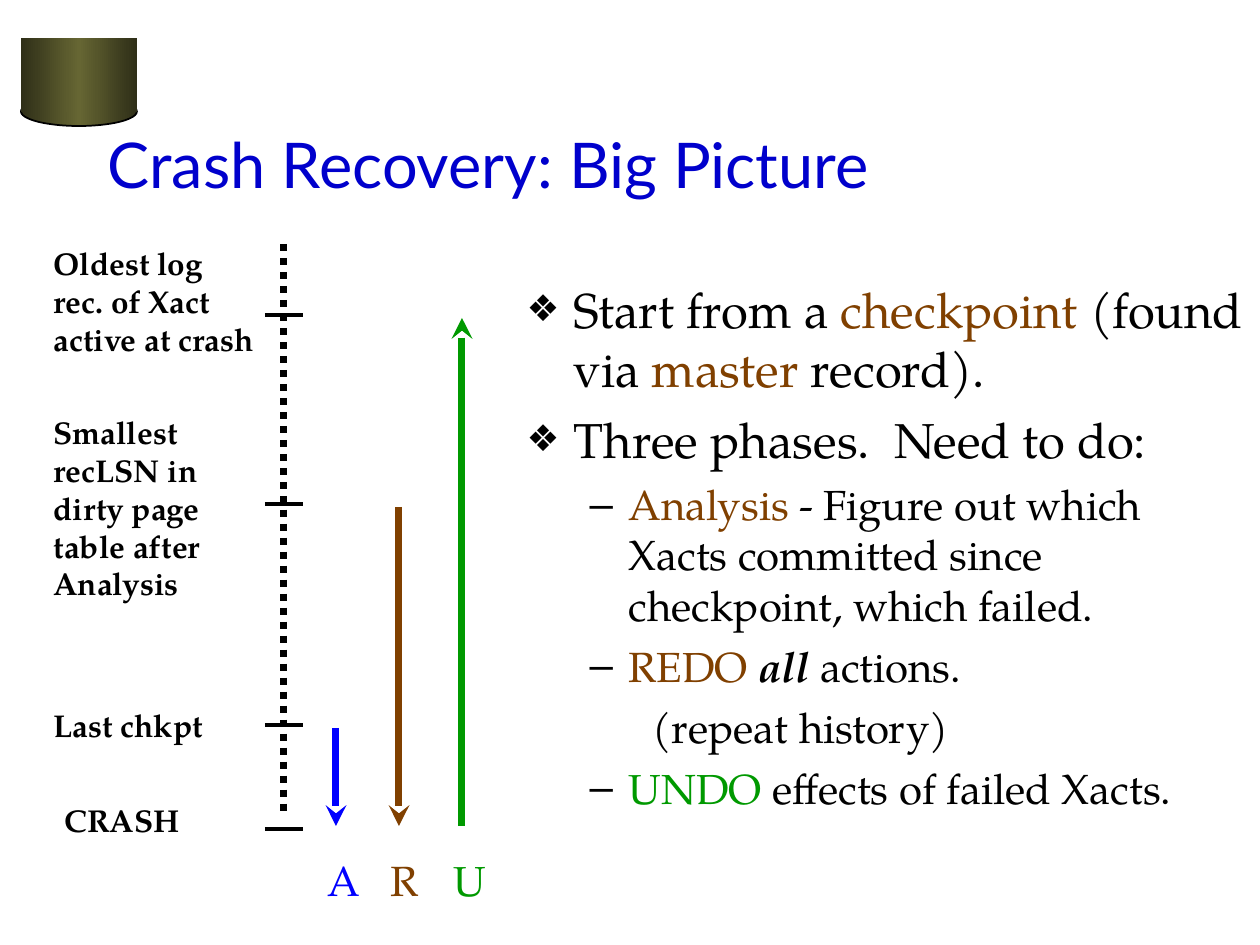
import copy
import dataclasses

import pptx
import pptx.dml.color
import pptx.enum.dml
import pptx.enum.shapes
import pptx.enum.text
import pptx.oxml.ns
import pptx.util

EMU_PER_PX = 914400 / 126
SHAPES = pptx.enum.shapes.MSO_SHAPE
AUTO_SIZE = pptx.enum.text.MSO_AUTO_SIZE
qn = pptx.oxml.ns.qn


@dataclasses.dataclass(frozen=True)
class Theme:
    ink: str = "000000"
    title: str = "0000CC"
    analysis: str = "0000FF"
    redo: str = "804000"
    undo: str = "009900"
    barrel_edge: str = "2F2F18"
    barrel_middle: str = "666633"
    title_font: str = "Lato"
    text_font: str = "TeX Gyre Pagella"
    title_size: int = 36
    point_size: int = 28
    phase_size: int = 24
    label_size: int = 18


@dataclasses.dataclass(frozen=True)
class Level:
    """Paragraph format of one outline level; distances in px."""
    depth: int
    size: int
    margin: int
    indent: int
    space_before: int
    bullet: str = ""
    bullet_percent: int = 100


def px(length):
    return pptx.util.Emu(round(length * EMU_PER_PX))


def rgb(color):
    return pptx.dml.color.RGBColor.from_string(color)


def apply(target, values):
    for name, value in values.items():
        setattr(target, name, value)


class SlideBuilder:
    def __init__(self, slide, theme):
        self.slide = slide
        self.theme = theme

    def place(self, shape, left, top, width, height):
        apply(shape, {"left": px(left), "top": px(top),
                      "width": px(width), "height": px(height)})

    def styled_run(self, paragraph, text, size, color=None, font=None, **styles):
        run = paragraph.add_run()
        run.text = text
        apply(run.font, {"size": pptx.util.Pt(size),
                         "name": font or self.theme.text_font, **styles})
        run.font.color.rgb = rgb(color or self.theme.ink)

    def title(self, text, *box):
        heading = self.slide.shapes.title
        self.place(heading, *box)
        apply(heading.text_frame, {
            "vertical_anchor": pptx.enum.text.MSO_ANCHOR.MIDDLE,
            "auto_size": AUTO_SIZE.NONE})
        paragraph = heading.text_frame.paragraphs[0]
        paragraph.alignment = pptx.enum.text.PP_ALIGN.LEFT
        self.styled_run(paragraph, text, self.theme.title_size,
                        self.theme.title, self.theme.title_font)

    def bullet(self, paragraph, level):
        properties = paragraph._p.get_or_add_pPr()
        properties.set("marL", str(px(level.margin)))
        properties.set("indent", str(px(level.indent)))

        def add(parent, tag, **attributes):
            child = parent.makeelement(qn(tag), attributes)
            parent.append(child)
            return child

        if level.bullet:
            add(add(properties, "a:buClr"), "a:srgbClr", val=self.theme.ink)
            add(properties, "a:buSzPct", val=str(level.bullet_percent * 1000))
            add(properties, "a:buChar", char=level.bullet)
        else:
            add(properties, "a:buNone")

    def outline(self, points, *box):
        body = self.slide.placeholders[1]
        self.place(body, *box)
        frame = body.text_frame
        frame.auto_size = AUTO_SIZE.NONE
        for index, (level, runs) in enumerate(points):
            paragraph = frame.add_paragraph() if index else frame.paragraphs[0]
            self.bullet(paragraph, level)
            apply(paragraph, {
                "level": level.depth,
                "space_before": pptx.util.Pt(level.space_before if index else 0)})
            for text, styles in runs:
                self.styled_run(paragraph, text, level.size, **styles)

    def label(self, text, size, *box, wrap=True, **styles):
        caption = self.slide.shapes.add_textbox(*map(px, box))
        apply(caption.text_frame, {"word_wrap": wrap,
                                   "auto_size": AUTO_SIZE.SHAPE_TO_FIT_TEXT})
        self.styled_run(caption.text_frame.paragraphs[0], text, size, **styles)

    def line(self, start, end, width, color=None, dash=None, arrow_end=None):
        """Draw a line; arrow_end is a:headEnd (start), a:tailEnd (end) or None."""
        connector = self.slide.shapes.add_connector(
            pptx.enum.shapes.MSO_CONNECTOR.STRAIGHT, *map(px, (*start, *end)))
        connector.line.color.rgb = rgb(color or self.theme.ink)
        apply(connector.line, {"width": pptx.util.Pt(width), "dash_style": dash})
        properties = connector._element.spPr
        if arrow_end:
            stroke = properties.find(qn("a:ln"))
            stroke.append(stroke.makeelement(qn(arrow_end), {"type": "stealth"}))
        properties.append(properties.makeelement(qn("a:effectLst"), {}))

    def barrel_part(self, group, preset, *box, outlined=False):
        part = group.shapes.add_shape(preset, *map(px, box))
        part.shadow.inherit = False
        part.fill.gradient()
        part.fill.gradient_angle = 0
        stops = part._element.spPr.find(".//" + qn("a:gsLst"))
        stops.append(copy.deepcopy(stops[0]))
        edge, middle = self.theme.barrel_edge, self.theme.barrel_middle
        for stop, position, color in zip(part.fill.gradient_stops,
                                         (0, 0.5, 1), (edge, middle, edge)):
            stop.position = position
            stop.color.rgb = rgb(color)
        if outlined:
            part.line.color.rgb = rgb(self.theme.ink)
            part.line.width = pptx.util.Pt(1)
        else:
            part.line.fill.background()

    def barrel(self, left, top, width):
        group = self.slide.shapes.add_group_shape()
        self.barrel_part(group, SHAPES.OVAL, left, top + 59, width, 29,
                         outlined=True)
        self.barrel_part(group, SHAPES.RECTANGLE, left, top, width, 74)


def main():
    deck = pptx.Presentation()
    apply(deck, {"slide_width": px(1260), "slide_height": px(945)})
    theme = Theme()
    builder = SlideBuilder(deck.slides.add_slide(deck.slide_layouts[1]), theme)

    builder.barrel(21, 38, 116)
    builder.title("Crash Recovery: Big Picture", 95, 84, 1071, 158)

    point = Level(0, theme.point_size, 47, -47, 7, "❖", 75)
    phase = Level(1, theme.phase_size, 102, -39, 6, "–")
    remark = Level(2, theme.phase_size, 158, -32, 6)
    plain, key, undo = {}, {"color": theme.redo}, {"color": theme.undo}
    builder.outline([
        (point, [("Start from a ", plain), ("checkpoint", key),
                 (" (found via ", plain), ("master", key), (" record).", plain)]),
        (point, [("Three phases.  Need to do:", plain)]),
        (phase, [("Analysis", key),
                 (" - Figure out which Xacts committed since checkpoint, "
                  "which failed.", plain)]),
        (phase, [("REDO ", key), ("all", {"bold": True, "italic": True}),
                 (" actions.", plain)]),
        (remark, [("(repeat history)", plain)]),
        (phase, [("UNDO", undo), (" effects of failed Xacts.", plain)]),
    ], 514, 273, 746, 562)

    log_x, tick_half = 284, 19
    builder.line((log_x, 244), (log_x, 815), 4,
                 dash=pptx.enum.dml.MSO_LINE.ROUND_DOT)
    oldest, smallest, checkpoint, crash = 315, 504, 725, 829
    for tick_y, text, left, top, height in (
            (oldest, "Oldest log rec. of Xact active at crash", 41, 238, 202),
            (smallest, "Smallest recLSN in dirty page table after Analysis",
             41, 407, 239),
            (checkpoint, "Last chkpt", 41, 700, 50),
            (crash, "CRASH", 52, 795, 50)):
        builder.label(text, theme.label_size, left, top, 232, height, bold=True)
        builder.line((log_x - tick_half, tick_y), (log_x + tick_half, tick_y), 2)

    gap = 3
    for index, (letter, color, since, arrow_end) in enumerate((
            ("A", theme.analysis, checkpoint, "a:tailEnd"),
            ("R", theme.redo, smallest, "a:tailEnd"),
            ("U", theme.undo, oldest, "a:headEnd"))):
        arrow_x = 336 + 63 * index
        builder.line((arrow_x, since + gap), (arrow_x, crash - gap), 4, color,
                     arrow_end=arrow_end)
        builder.label(letter, theme.phase_size, arrow_x - 21, 848, 50, 63,
                      wrap=False, color=color)

    deck.save("out.pptx")


if __name__ == "__main__":
    main()
